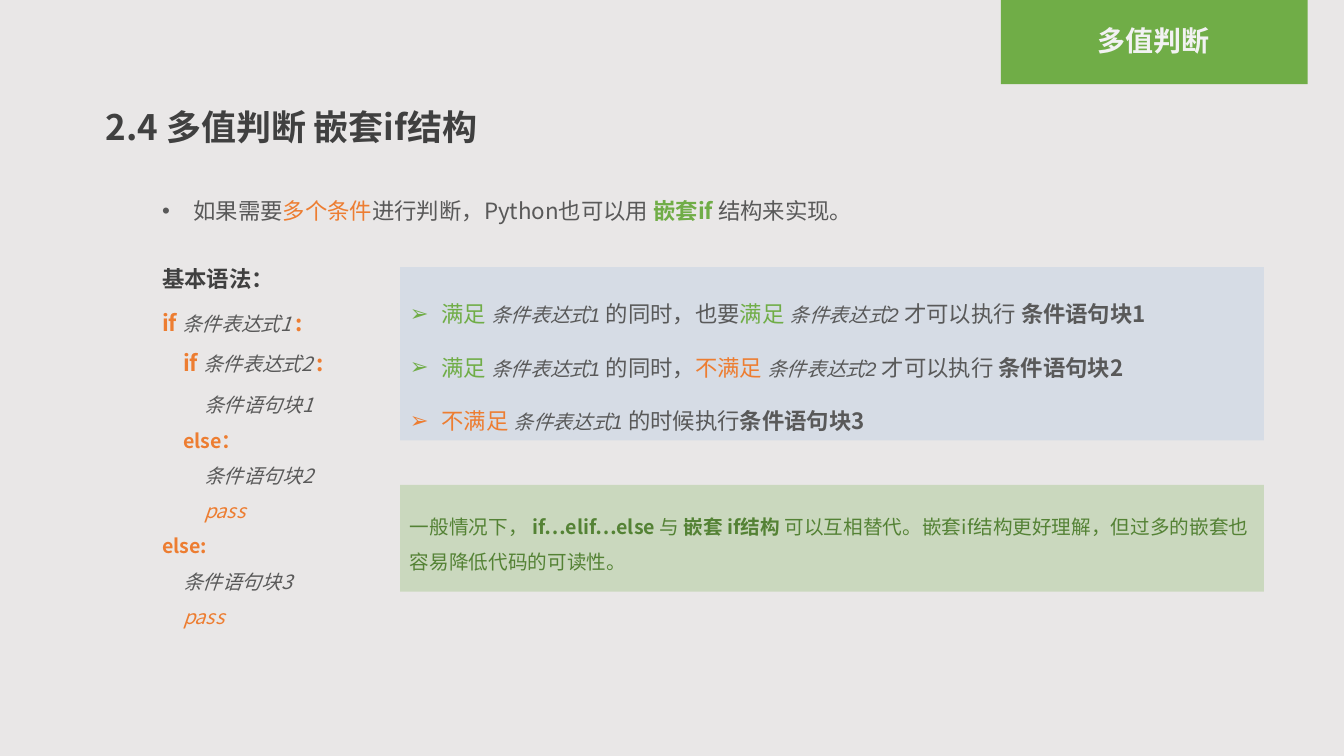
from lxml import etree
from pptx import Presentation
from pptx.dml.color import RGBColor
from pptx.enum.shapes import MSO_SHAPE
from pptx.enum.text import MSO_ANCHOR, PP_ALIGN
from pptx.oxml.ns import qn
from pptx.util import Pt

RECTANGLE = MSO_SHAPE.RECTANGLE
TOP, MIDDLE = MSO_ANCHOR.TOP, MSO_ANCHOR.MIDDLE
LEFT, CENTER = PP_ALIGN.LEFT, PP_ALIGN.CENTER

BACKGROUND = RGBColor(0xE9, 0xE7, 0xE7)
GREEN = RGBColor(0x70, 0xAD, 0x47)
DARK_GREEN = RGBColor(0x54, 0x82, 0x35)
ORANGE = RGBColor(0xED, 0x7D, 0x31)
PALE_BLUE = RGBColor(0xD6, 0xDC, 0xE5)
GRAY = RGBColor(0x59, 0x59, 0x59)
CHARCOAL = RGBColor(0x40, 0x40, 0x40)
OFF_WHITE = RGBColor(0xF2, 0xF2, 0xF2)

FONT = "Noto Sans CJK SC"
EXPRESSION_FONT = "Arial"
BULLET_INDENT = 22.5
CODE_INDENT = 15


class SlideBuilder:
    def __init__(self, deck):
        self.page = deck.slides.add_slide(deck.slide_layouts[6])
        self.page.background.fill.solid()
        self.page.background.fill.fore_color.rgb = BACKGROUND

    def panel(self, left, top, width, height, color, opacity=100):
        box = self.page.shapes.add_shape(
            RECTANGLE, Pt(left), Pt(top), Pt(width), Pt(height))
        box.shadow.inherit = False
        box.line.fill.background()
        box.fill.solid()
        box.fill.fore_color.rgb = color
        if opacity < 100:
            shade = box.fill._xPr.find(".//" + qn("a:srgbClr"))
            etree.SubElement(shade, qn("a:alpha"), val=str(opacity * 1000))
        return self.frame(box, MIDDLE)

    def text_box(self, left, top, width, height, wrap=True):
        box = self.page.shapes.add_textbox(Pt(left), Pt(top), Pt(width), Pt(height))
        return self.frame(box, TOP, wrap)

    def frame(self, box, anchor, wrap=True):
        box.text_frame.word_wrap = wrap
        box.text_frame.vertical_anchor = anchor
        return box.text_frame

    def paragraph(self, frame, spans, spacing=1.0, align=LEFT, bullet=None,
                  indent=0, before=0):
        para = frame.paragraphs[0]
        if para.runs:
            para = frame.add_paragraph()
        para.alignment = align
        para.line_spacing = spacing
        para.space_before = Pt(before)
        properties = para._p.get_or_add_pPr()
        if bullet:
            properties.set("marL", str(Pt(BULLET_INDENT)))
            properties.set("indent", str(-Pt(BULLET_INDENT)))
            etree.SubElement(properties, qn("a:buFont"), typeface="Arial")
            etree.SubElement(properties, qn("a:buChar"), char=bullet)
        elif indent:
            properties.set("marL", str(Pt(indent)))
            properties.set("indent", "0")
        for span in spans:
            self.span(para, *span)

    def span(self, para, text, size, color, style="", font=FONT):
        run = para.add_run()
        run.text = text
        run.font.size = Pt(size)
        run.font.name = font
        run.font.bold = "b" in style
        run.font.italic = "i" in style
        run.font.color.rgb = color
        latin = run._r.rPr.find(qn("a:latin"))
        east_asian = etree.Element(qn("a:ea"), typeface=FONT)
        latin.addnext(east_asian)


def expression(number):
    return (f"条件表达式{number} ", 14, GRAY, "i", EXPRESSION_FONT)


def condition(number):
    return [("if ", 16, ORANGE, "b"),
            (f"条件表达式{number} ", 14, GRAY, "i"),
            (":", 16, ORANGE, "b")]


def block(number):
    return [(f"条件语句块{number}", 14, GRAY, "i")]


def result(number):
    return (f"条件语句块{number}", 16, GRAY, "b")


def main():
    deck = Presentation()
    deck.slide_width, deck.slide_height = Pt(960), Pt(540)
    slide = SlideBuilder(deck)

    slide.panel(715, 0, 219, 60.2, GREEN)
    badge = slide.text_box(715.7, 16.2, 216, 30)
    slide.paragraph(badge, [("多值判断", 20, OFF_WHITE, "b")], 0.9, CENTER)

    intro = slide.text_box(108.7, 118.1, 807, 46)
    slide.paragraph(intro, [
        ("如果需要", 16, GRAY),
        ("多个条件", 16, ORANGE),
        ("进行判断，Python也可以用 ", 16, GRAY),
        ("嵌套if ", 16, GREEN, "b"),
        ("结构来实现。", 16, GRAY),
    ], 2.0, bullet="•")

    title = slide.text_box(68.4, 77, 287.3, 37.4)
    slide.paragraph(title, [("2.4 多值判断 嵌套if结构", 25, CHARCOAL, "b")], 0.83)

    code = slide.text_box(108.7, 207.4, 177.8, 247)
    pass_line = [("pass", 14, ORANGE, "i")]
    code_lines = [
        (0, condition(1), 0),
        (1, condition(2), 0),
        (2, block(1), 4),
        (1, [("else：", 14, ORANGE, "b")], 0),
        (2, block(2), 0),
        (2, pass_line, 0),
        (0, [("else:", 14, ORANGE, "b")], 0),
        (1, block(3), 0),
        (1, pass_line, 0),
    ]
    for level, spans, before in code_lines:
        slide.paragraph(code, spans, 1.5, indent=level * CODE_INDENT, before=before)

    heading = slide.text_box(108.7, 185.8, 95, 26.6, wrap=False)
    slide.paragraph(heading, [("基本语法：", 16, CHARCOAL, "b")])

    rules = slide.panel(285.8, 190.8, 617, 123.8, PALE_BLUE)
    met = ("满足 ", 16, GREEN)
    unmet = ("不满足 ", 16, ORANGE)
    execute = ("才可以执行 ", 16, GRAY)
    rule_lines = [
        [met, expression(1), ("的同时，也要", 16, GRAY), met, expression(2),
         execute, result(1)],
        [met, expression(1), ("的同时，", 16, GRAY), unmet, expression(2),
         execute, result(2)],
        [unmet, expression(1), ("的时候执行", 16, GRAY), result(3)],
    ]
    for spans in rule_lines:
        slide.paragraph(rules, spans, 2.0, bullet="➢")

    note = slide.panel(285.8, 346.3, 617, 76.3, GREEN, opacity=25)
    slide.paragraph(note, [
        ("一般情况下， ", 14, DARK_GREEN),
        ("if…elif…else ", 14, DARK_GREEN, "b"),
        ("与 ", 14, DARK_GREEN),
        ("嵌套 if结构 ", 14, DARK_GREEN, "b"),
        ("可以互相替代。嵌套if结构更好理解，但过多的嵌套也容易降低代码的可读性。",
         14, DARK_GREEN),
    ], 1.5)

    deck.save("out.pptx")


if __name__ == "__main__":
    main()
